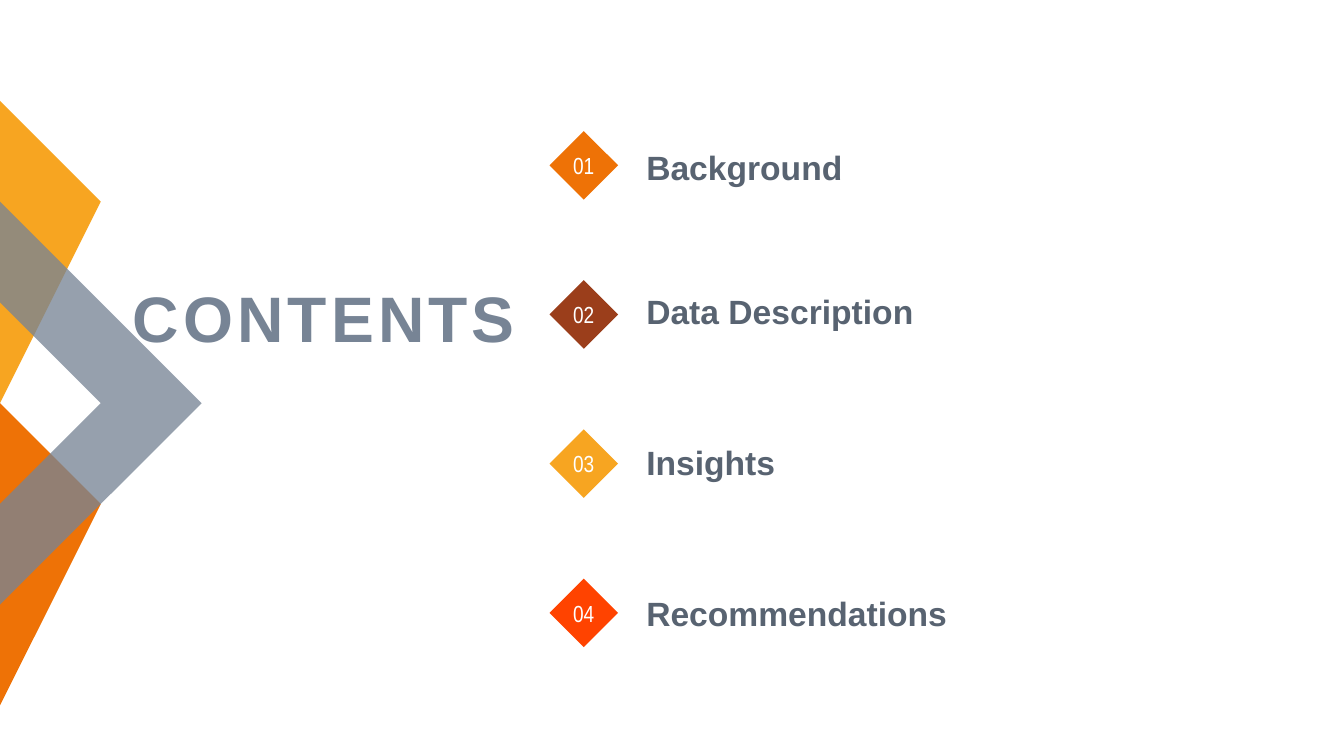
from lxml.etree import SubElement
from pptx import Presentation
from pptx.dml.color import RGBColor
from pptx.enum.shapes import MSO_SHAPE as Preset
from pptx.enum.text import MSO_ANCHOR as Anchor, MSO_AUTO_SIZE as AutoSize, PP_ALIGN as Align
from pptx.oxml.ns import qn
from pptx.util import Inches, Pt

ROW_STEP = 1.48          # inches between agenda rows
FIRST_ROW = 1.3
DIAMOND = 0.68
LINE_HEIGHT = 27.6       # points taken by one 24 pt line
SLATE = "778495"

AGENDA = [
    ("Background", "EE7206"),
    ("Data Description", "9B3E1B"),
    ("Insights", "F7A521"),
    ("Recommendations", "FF4300"),
]


def paint(shape, color):
    shape.fill.solid()
    shape.fill.fore_color.rgb = RGBColor.from_string(color)
    shape.line.fill.background()
    shape.shadow.inherit = False


def style(paragraph, size, font, color, bold=False):
    for run in paragraph.runs:
        run.font.size = Pt(size)
        run.font.name = font
        run.font.bold = bold
        run.font.color.rgb = RGBColor.from_string(color)


deck = Presentation()
deck.slide_width, deck.slide_height = Inches(13.33), Inches(7.5)
slide = deck.slides.add_slide(deck.slide_layouts[1])
heading, agenda = slide.placeholders

# Heading
heading.left, heading.top, heading.width, heading.height = map(Inches, (1.12, 2.64, 4.09, 1.01))
heading.text_frame.text = "CONTENTS"
heading.text_frame.auto_size = AutoSize.NONE
heading.text_frame.vertical_anchor = Anchor.MIDDLE
heading_line = heading.text_frame.paragraphs[0]
heading_line.alignment = Align.RIGHT
style(heading_line, 45.9, "Arial", SLATE, bold=True)
heading_line.runs[0].font._element.set("spc", "300")

# Agenda list, spaced to match the diamonds
agenda.left, agenda.top, agenda.width, agenda.height = map(Inches, (6.31, 1.41, 4.33, 5))
agenda.text_frame.text = "\n".join(topic for topic, _ in AGENDA)
agenda.text_frame.auto_size = AutoSize.NONE
agenda.text_frame.vertical_anchor = Anchor.TOP
gaps = [0, ROW_STEP * 72 - LINE_HEIGHT - 5] + [ROW_STEP * 72 - LINE_HEIGHT] * 2
for topic_line, gap in zip(agenda.text_frame.paragraphs, gaps):
    topic_line.space_before = Pt(gap)
    style(topic_line, 24, "Arial", "586371", bold=True)
    indents = topic_line._p.get_or_add_pPr()
    indents.set("marL", "0")
    indents.set("indent", "0")
    SubElement(indents, qn("a:buNone"))

# Arrowheads on the left edge: two triangles under a translucent chevron
ARROWS = [
    ("EE7206", [(0.02, 4.04), (1.46, 5.47), (0.02, 6.91)]),
    ("F7A521", [(0.02, 0.84), (1.46, 2.28), (0.02, 3.72)]),
    (SLATE, [(0.02, 2.16), (1.73, 3.87), (0.02, 5.57),
             (0.02, 4.93), (1.09, 3.87), (0.02, 2.8)]),
]
for color, corners in ARROWS:
    outline = slide.shapes.build_freeform(*corners[0], scale=Inches(1))
    outline.add_line_segments(corners[1:], close=True)
    arrow = outline.convert_to_shape()
    paint(arrow, color)
chevron_color = arrow._element.spPr.find(qn("a:solidFill"))[0]
SubElement(chevron_color, qn("a:alpha"), val="77000")

# Numbered diamonds
for row, (_, color) in enumerate(AGENDA):
    diamond = slide.shapes.add_shape(
        Preset.DIAMOND, Inches(5.45), Inches(FIRST_ROW + row * ROW_STEP),
        Inches(DIAMOND), Inches(DIAMOND))
    paint(diamond, color)
    diamond.text_frame.text = f"{row + 1:02}"
    diamond.text_frame.word_wrap = False
    diamond.text_frame.vertical_anchor = Anchor.MIDDLE
    number = diamond.text_frame.paragraphs[0]
    number.alignment = Align.CENTER
    style(number, 16.6, "Arial Narrow", "FFFFFF")

deck.save("out.pptx")
